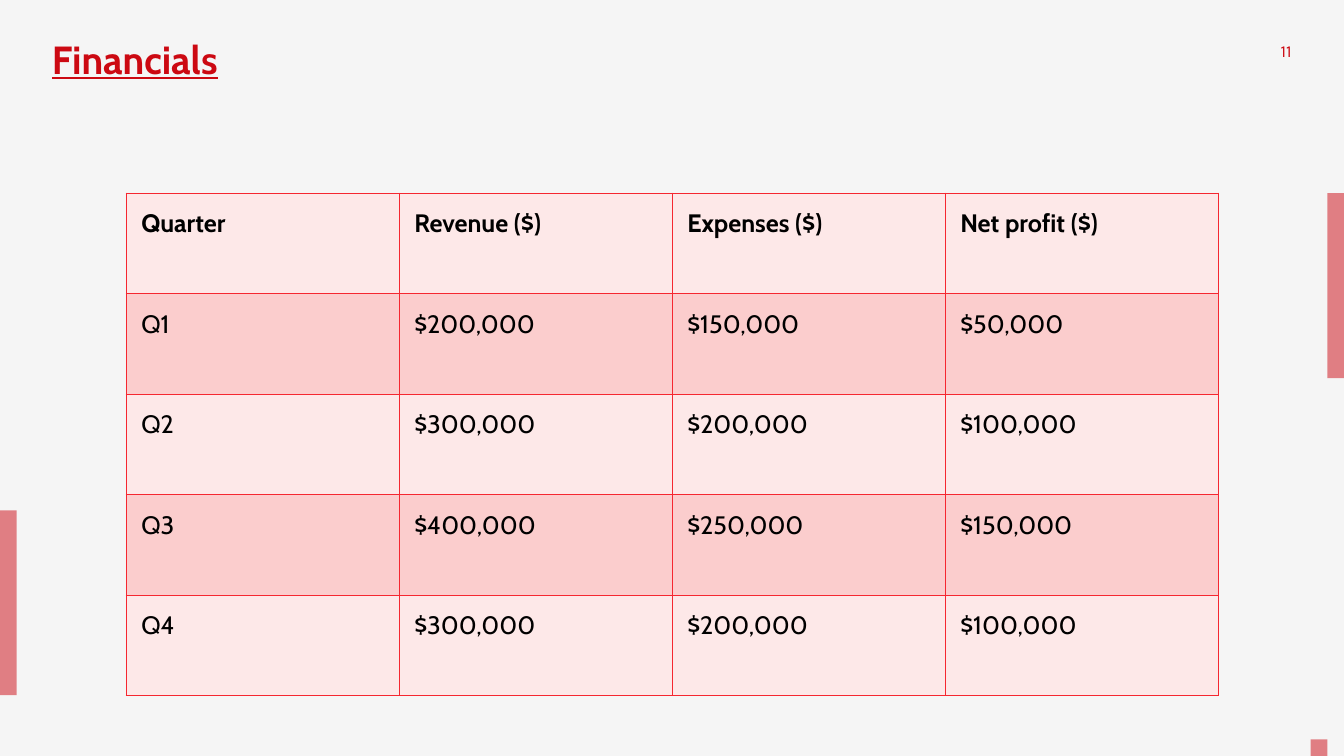
from lxml.etree import SubElement
from pptx import Presentation
from pptx.dml.color import RGBColor
from pptx.enum.shapes import MSO_SHAPE
from pptx.enum.text import MSO_ANCHOR, PP_ALIGN
from pptx.oxml.ns import qn
from pptx.util import Cm, Pt

COLORS = {
    "background": "F5F5F5",
    "accent": "CC0912",
    "text": "000000",
    "border": "F52730",
    "light row": "FDE8E8",
    "dark row": "FBCDCD",
}
SLIDE_WIDTH, SLIDE_HEIGHT = 33.87, 19.05
BAR_WIDTH, BAR_HEIGHT = 0.42, 4.66

TITLE_FORMAT = {"name": "Cabin", "size": Pt(28), "bold": True, "underline": True}
NUMBER_FORMAT = {"name": "Karla", "size": Pt(12)}
HEADER_FORMAT = {"name": "Cabin", "size": Pt(18), "bold": True}
BODY_FORMAT = {**HEADER_FORMAT, "bold": False}

FINANCIALS = [
    ("Quarter", "Revenue ($)", "Expenses ($)", "Net profit ($)"),
    ("Q1", "$200,000", "$150,000", "$50,000"),
    ("Q2", "$300,000", "$200,000", "$100,000"),
    ("Q3", "$400,000", "$250,000", "$150,000"),
    ("Q4", "$300,000", "$200,000", "$100,000"),
]


def color(name):
    return RGBColor.from_string(COLORS[name])


def write(paragraph, text, font_format, color_name):
    run = paragraph.add_run()
    run.text = text
    for attribute, value in font_format.items():
        setattr(run.font, attribute, value)
    run.font.color.rgb = color(color_name)


def add_side_bars(slide, width, height):
    bars = [
        (width - BAR_WIDTH, 4.87, BAR_HEIGHT),
        (0, 12.86, BAR_HEIGHT),
        (width - 2 * BAR_WIDTH, height - BAR_WIDTH, BAR_WIDTH),
    ]
    for left, top, bar_height in bars:
        bar = slide.shapes.add_shape(
            MSO_SHAPE.RECTANGLE, Cm(left), Cm(top), Cm(BAR_WIDTH), Cm(bar_height))
        bar.shadow.inherit = False
        bar.line.fill.background()
        bar.fill.solid()
        bar.fill.fore_color.rgb = color("accent")
        # Half transparent fill
        fill_color = bar.fill._xPr.find(qn("a:solidFill"))[0]
        SubElement(fill_color, qn("a:alpha"), val="50000")


def add_label(slide, text, box, font_format, paragraph_format, bottom_margin):
    frame = slide.shapes.add_textbox(*map(Cm, box)).text_frame
    frame.word_wrap = True
    frame.vertical_anchor = MSO_ANCHOR.TOP
    frame.margin_bottom = Cm(bottom_margin)
    paragraph = frame.paragraphs[0]
    for attribute, value in paragraph_format.items():
        setattr(paragraph, attribute, value)
    write(paragraph, text, font_format, "accent")


def add_borders(cell):
    properties = cell._tc.get_or_add_tcPr()
    for side in ("lnL", "lnR", "lnT", "lnB"):
        line = SubElement(properties, qn(f"a:{side}"), w=str(Pt(1)))
        fill = SubElement(line, qn("a:solidFill"))
        SubElement(fill, qn("a:srgbClr"), val=COLORS["border"])


def add_financial_table(slide, rows, box):
    left, top, width, height = box
    column_count = len(rows[0])
    table = slide.shapes.add_table(
        len(rows), column_count, *map(Cm, box)).table
    for column in table.columns:
        column.width = Cm(width / column_count)
    for row_index, values in enumerate(rows):
        table.rows[row_index].height = Cm(height / len(rows))
        font_format = BODY_FORMAT if row_index else HEADER_FORMAT
        for column_index, value in enumerate(values):
            cell = table.cell(row_index, column_index)
            for side in ("left", "right", "top", "bottom"):
                setattr(cell, f"margin_{side}", Cm(0.38))
            add_borders(cell)
            cell.fill.solid()
            cell.fill.fore_color.rgb = color("dark row" if row_index % 2 else "light row")
            write(cell.text_frame.paragraphs[0], value, font_format, "text")


def build_financials_slide(presentation):
    slide = presentation.slides.add_slide(presentation.slide_layouts[6])
    slide.background.fill.solid()
    slide.background.fill.fore_color.rgb = color("background")
    add_side_bars(slide, SLIDE_WIDTH, SLIDE_HEIGHT)
    # Title and slide number
    add_label(slide, "Financials", (1.06, 0.89, 13.92, 3.1),
              TITLE_FORMAT, {"line_spacing": 0.9}, 0.13)
    add_label(slide, "11", (31.5, 0.89, 1.3, 1.02),
              NUMBER_FORMAT, {"alignment": PP_ALIGN.RIGHT}, 0)
    # Quarterly figures
    add_financial_table(slide, FINANCIALS, (3.18, 4.87, 27.52, 12.67))


def main():
    presentation = Presentation()
    presentation.slide_width = Cm(SLIDE_WIDTH)
    presentation.slide_height = Cm(SLIDE_HEIGHT)
    build_financials_slide(presentation)
    presentation.save("out.pptx")


if __name__ == "__main__":
    main()
